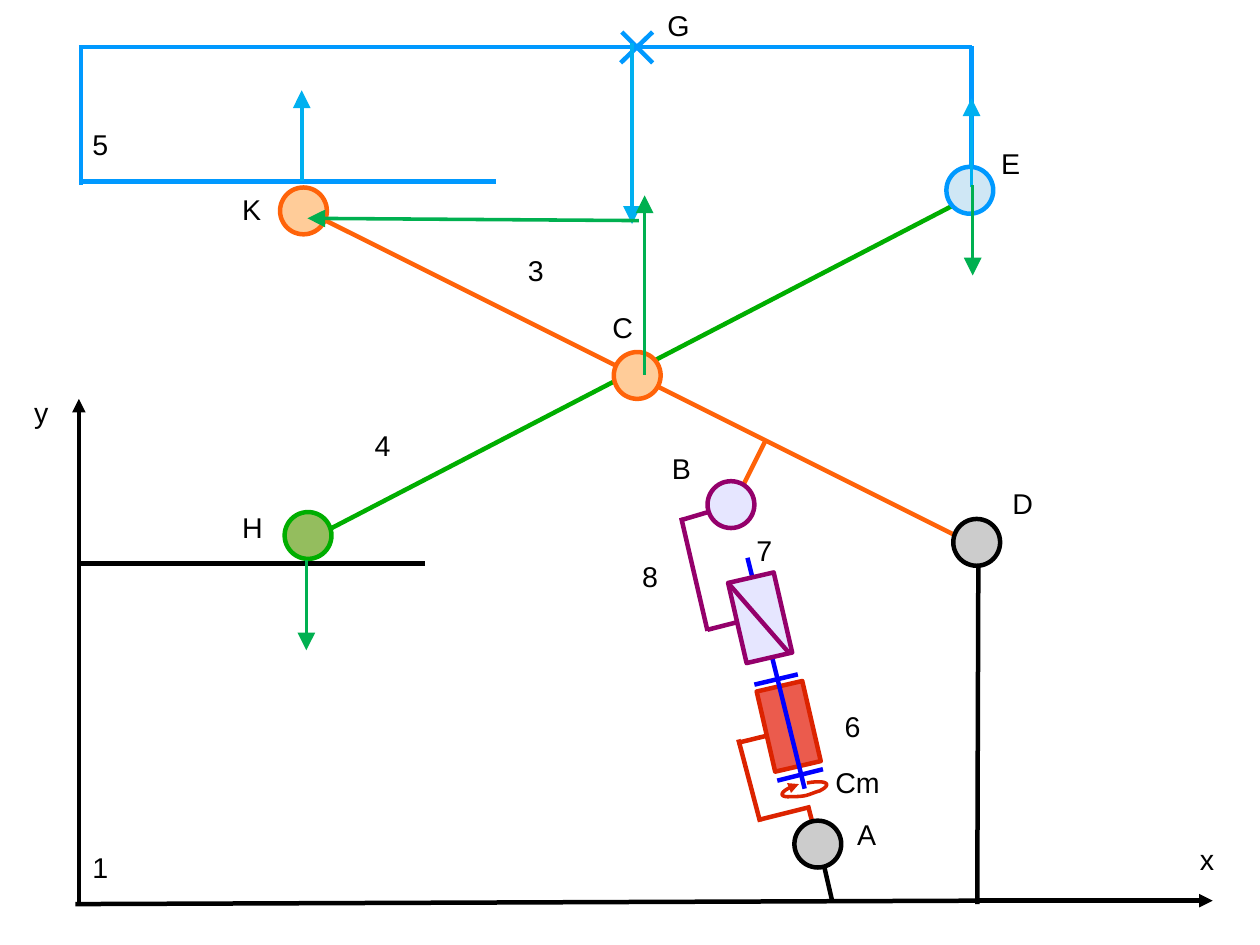
from dataclasses import dataclass

from lxml import etree
from pptx import Presentation
from pptx.dml.color import RGBColor
from pptx.enum.shapes import MSO_CONNECTOR, MSO_SHAPE
from pptx.enum.text import MSO_ANCHOR, PP_ALIGN
from pptx.oxml.ns import qn
from pptx.util import Cm, Inches, Pt

STRAIGHT = MSO_CONNECTOR.STRAIGHT
CIRCLE, BLOCK = MSO_SHAPE.OVAL, MSO_SHAPE.RECTANGLE
LEFT, TOP = PP_ALIGN.LEFT, MSO_ANCHOR.TOP
SLIDE_WIDTH, SLIDE_HEIGHT = Cm(28), Cm(21)
CELL = Inches(1)
JOINT = 0.41
BLOCK_LENGTH, BLOCK_WIDTH, BLOCK_TILT = 0.72, 0.41, 77
CURVE_STEPS = 12
MEDIUM, LARGE = "med", "lg"


@dataclass(frozen=True)
class Theme:
    """Colours, font and sizes of the mechanism diagram."""
    ground: str = "000000"
    ground_fill: str = "CCCCCC"
    platform: str = "0099FF"
    platform_fill: str = "CFE7F5"
    green_arm: str = "00AE00"
    green_fill: str = "94BD5E"
    orange_arm: str = "FF6309"
    orange_fill: str = "FFCC99"
    nut: str = "94006B"
    nut_fill: str = "E6E6FF"
    motor: str = "DC2300"
    motor_fill: str = "EB5B4D"
    screw: str = "0000FF"
    platform_force: str = "00B0F0"
    arm_force: str = "00B050"
    font: str = "Arial"
    label_size: float = 18
    bar: float = 2.83
    thin: float = 2.25


THEME = Theme()

BARS = {
    THEME.platform: [
        (0.69, 0.41, 8.5, 0.41), (0.69, 1.59, 4.34, 1.59),
        (0.71, 1.62, 0.71, 0.4), (8.5, 1.62, 8.5, 0.4),
        (5.44, 0.28, 5.71, 0.55), (5.71, 0.28, 5.43, 0.55)],
    THEME.green_arm: [(2.69, 4.73, 8.45, 1.74)],
    THEME.ground: [
        (0.69, 4.93, 3.72, 4.93), (0.69, 7.91, 0.69, 4.9),
        (8.55, 7.91, 8.56, 4.8), (8.56, 7.88, 0.66, 7.91),
        (7.16, 7.36, 7.28, 7.88)],
    THEME.orange_arm: [(2.69, 1.85, 8.45, 4.73), (6.7, 3.85, 6.39, 4.47)],
    THEME.screw: [
        (6.54, 4.88, 7.04, 6.9), (6.98, 5.9, 6.6, 5.99),
        (7.2, 6.73, 6.8, 6.83)],
    THEME.nut: [
        (6.62, 5.4, 6.19, 5.51), (5.96, 4.53, 6.19, 5.52),
        (5.96, 4.55, 6.6, 4.36)],
    THEME.motor: [
        (7.07, 7.05, 7.16, 7.4), (7.09, 7.06, 6.65, 7.17),
        (6.46, 6.47, 6.65, 7.19)],
}

JOINTS = [
    (8.28, 1.46, THEME.platform_fill, THEME.platform),
    (2.45, 1.64, THEME.orange_fill, THEME.orange_arm),
    (8.34, 4.54, THEME.ground_fill, THEME.ground),
    (2.49, 4.48, THEME.green_fill, THEME.green_arm),
    (5.37, 3.08, THEME.orange_fill, THEME.orange_arm),
    (6.19, 4.21, THEME.nut_fill, THEME.nut),
    (6.95, 7.18, THEME.ground_fill, THEME.ground),
]

LABELS = [
    ("1", 0.71, 7.39), ("6", 7.29, 6.16), ("5", 0.71, 1.07), ("3", 4.52, 2.17),
    ("4", 3.18, 3.7), ("8", 5.52, 4.85), ("7", 6.52, 4.62), ("x", 10.4, 7.32),
    ("y", 0.2, 3.41), ("A", 7.4, 7.1), ("B", 5.78, 3.9), ("C", 5.26, 2.67),
    ("D", 8.76, 4.21), ("E", 8.66, 1.23), ("K", 2.02, 1.64), ("H", 2.02, 4.42),
]

AXES = [(8.55, 7.88, 10.61, 7.88), (0.69, 5.34, 0.69, 3.49)]

FORCES = {
    THEME.platform_force: [
        (2.64, 1.58, 2.64, 0.79), (8.5, 1.64, 8.5, 0.86),
        (5.53, 0.38, 5.53, 1.96)],
    THEME.arm_force: [
        (8.51, 1.62, 8.51, 2.41), (2.68, 4.9, 2.68, 5.69),
        (5.64, 3.28, 5.64, 1.71), (5.59, 1.93, 2.69, 1.91)],
}

TORQUE_START = (7.06, 6.85)
TORQUE_CURVES = [
    ((7.23, 6.82), (7.29, 6.86), (7.17, 6.92)),
    ((7.13, 6.93), (7.09, 6.95), (7.05, 6.96)),
    ((7.0, 6.97), (6.96, 6.97), (6.92, 6.97)),
    ((6.79, 6.98), (6.83, 6.91), (6.99, 6.86)),
]


def grid(*cells):
    """Turn grid columns and rows into slide lengths."""
    return [round(cell * CELL) for cell in cells]


def style_line(line, colour, width, head=None):
    """Colour a line and optionally point its end."""
    line.color.rgb = RGBColor.from_string(colour)
    line.width = Pt(width)
    if head:
        etree.SubElement(line._get_or_add_ln(), qn("a:tailEnd"),
                         type="triangle", w=head, len=head)


def add_bar(slide, ends, colour, width=THEME.bar, head=None):
    """Draw a straight bar or arrow between two grid points."""
    bar = slide.shapes.add_connector(STRAIGHT, *grid(*ends))
    style_line(bar.line, colour, width, head)
    etree.SubElement(bar._element.spPr, qn("a:effectLst"))


def add_part(slide, kind, box, fill, outline, tilt=0):
    """Draw a filled joint or block of the mechanism."""
    part = slide.shapes.add_shape(kind, *grid(*box))
    part.rotation = tilt
    part.shadow.inherit = False
    part.fill.solid()
    part.fill.fore_color.rgb = RGBColor.from_string(fill)
    style_line(part.line, outline, THEME.bar)


def add_block(slide, left, top, fill, outline):
    """Draw a block aligned with the screw axis."""
    box = (left, top, BLOCK_LENGTH, BLOCK_WIDTH)
    add_part(slide, BLOCK, box, fill, outline, BLOCK_TILT)


def add_label(slide, text, left, top, width=0.48, height=0.49,
              size=THEME.label_size, colour=THEME.ground):
    """Write a label at a grid point."""
    label = slide.shapes.add_textbox(*grid(left, top, width, height))
    frame = label.text_frame
    frame.word_wrap = True
    frame.vertical_anchor = TOP
    (frame.margin_left, frame.margin_top,
     frame.margin_right, frame.margin_bottom) = grid(0.1, 0.07, 0.1, 0.05)
    paragraph = frame.paragraphs[0]
    paragraph.text = text
    paragraph.alignment = LEFT
    paragraph.line_spacing = 0.93
    paragraph.font.name = THEME.font
    paragraph.font.size = Pt(size)
    paragraph.font.color.rgb = RGBColor.from_string(colour)


def bezier(start, first, second, end, share):
    """Find the point at a share of a cubic curve."""
    rest = 1 - share
    return grid(*(
        rest ** 3 * a + 3 * rest ** 2 * share * b
        + 3 * rest * share ** 2 * c + share ** 3 * d
        for a, b, c, d in zip(start, first, second, end)))


def add_torque(slide):
    """Draw the curved arrow of the motor torque."""
    points, start = [], TORQUE_START
    for curve in TORQUE_CURVES:
        points += [bezier(start, *curve, step / CURVE_STEPS)
                   for step in range(1, CURVE_STEPS + 1)]
        start = curve[-1]
    outline = slide.shapes.build_freeform(*grid(*TORQUE_START))
    outline.add_line_segments(points, close=False)
    torque = outline.convert_to_shape()
    torque.shadow.inherit = False
    torque.fill.background()
    style_line(torque.line, THEME.motor, THEME.thin, MEDIUM)


def main():
    """Build the scissor lift diagram."""
    deck = Presentation()
    deck.slide_width, deck.slide_height = SLIDE_WIDTH, SLIDE_HEIGHT
    slide = deck.slides.add_slide(deck.slide_layouts[6])
    add_bar(slide, (6.9, 6.39, 6.45, 6.5), THEME.motor)
    add_block(slide, 6.54, 6.15, THEME.motor_fill, THEME.motor)
    for colour, bars in BARS.items():
        for ends in bars:
            add_bar(slide, ends, colour)
    for left, top, fill, outline in JOINTS:
        add_part(slide, CIRCLE, (left, top, JOINT, JOINT), fill, outline)
    add_block(slide, 6.29, 5.2, THEME.nut_fill, THEME.nut)
    add_bar(slide, (6.37, 5.1, 6.91, 5.72), THEME.nut)
    for text, left, top in LABELS:
        add_label(slide, text, left, top)
    add_label(slide, "G", 5.74, 0.03, height=0.36)
    add_label(slide, "Cm", 7.21, 6.65, width=0.72)
    for ends in AXES:
        add_bar(slide, ends, THEME.ground, head=MEDIUM)
    add_torque(slide)
    for colour, forces in FORCES.items():
        for ends in forces:
            add_bar(slide, ends, colour, THEME.thin, LARGE)
    deck.save("out.pptx")


if __name__ == "__main__":
    main()
